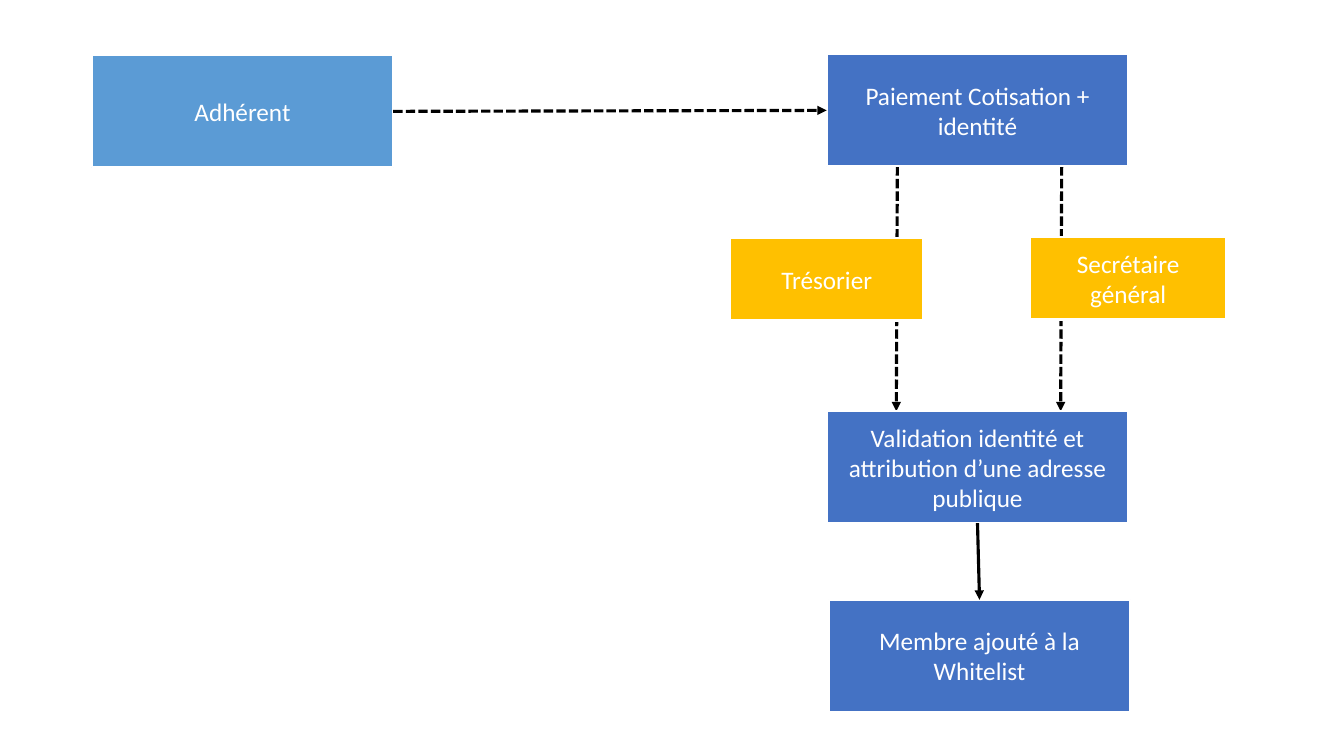
from dataclasses import dataclass

from lxml import etree
from pptx import Presentation
from pptx.dml.color import RGBColor
from pptx.enum.dml import MSO_LINE
from pptx.enum.shapes import MSO_CONNECTOR, MSO_SHAPE
from pptx.enum.text import MSO_ANCHOR, PP_ALIGN
from pptx.oxml.ns import qn
from pptx.util import Inches, Pt

RECTANGLE = MSO_SHAPE.RECTANGLE
STRAIGHT = MSO_CONNECTOR.STRAIGHT
DASHED = MSO_LINE.SQUARE_DOT
MIDDLE = MSO_ANCHOR.MIDDLE
CENTER = PP_ALIGN.CENTER
TOP, LEFT, BOTTOM, RIGHT = range(4)


@dataclass(frozen=True)
class Theme:
    member: RGBColor = RGBColor(0x5B, 0x9B, 0xD5)
    step: RGBColor = RGBColor(0x44, 0x72, 0xC4)
    officer: RGBColor = RGBColor(0xFF, 0xC0, 0x00)
    light: RGBColor = RGBColor(0xFF, 0xFF, 0xFF)
    arrow: RGBColor = RGBColor(0x00, 0x00, 0x00)
    font: str = "Calibri"
    text_size: Pt = Pt(18)
    border_width: Pt = Pt(1.5)
    arrow_width: Pt = Pt(2.25)


THEME = Theme()
STEP_SIZE = (2.99, 1.11)
STEP_LEFT = 8.2
VALIDATION_TOP = 4.08


def add_box(slide, text, position, size, color):
    shape = slide.shapes.add_shape(RECTANGLE, *map(Inches, position + size))
    shape.shadow.inherit = False
    shape.fill.solid()
    shape.fill.fore_color.rgb = color
    shape.line.color.rgb = THEME.light
    shape.line.width = THEME.border_width

    text_frame = shape.text_frame
    text_frame.word_wrap = True
    text_frame.vertical_anchor = MIDDLE
    text_frame.text = text
    paragraph = text_frame.paragraphs[0]
    paragraph.alignment = CENTER
    font = paragraph.runs[0].font
    font.name = THEME.font
    font.size = THEME.text_size
    font.color.rgb = THEME.light
    return shape


def add_arrow(slide, start=(0, 0), end=(0, 0), dashed=True):
    connector = slide.shapes.add_connector(STRAIGHT, *map(Inches, start + end))
    line = connector.line
    line.color.rgb = THEME.arrow
    line.width = THEME.arrow_width
    if dashed:
        line.dash_style = DASHED
    properties = connector._element.spPr
    etree.SubElement(properties.find(qn("a:ln")), qn("a:tailEnd"), type="triangle")
    etree.SubElement(properties, qn("a:effectLst"))
    return connector


def join_boxes(slide, source, source_side, target, target_side, dashed=True):
    connector = add_arrow(slide, dashed=dashed)
    connector.begin_connect(source, source_side)
    connector.end_connect(target, target_side)


def main():
    presentation = Presentation()
    presentation.slide_width = Inches(13.33)
    presentation.slide_height = Inches(7.5)
    slide = presentation.slides.add_slide(presentation.slide_layouts[6])

    # The officer boxes cover the middle of these two arrows.
    for x in (10.53, 8.9):
        add_arrow(slide, (x, 1.65), (x - 0.01, VALIDATION_TOP))

    member = add_box(slide, "Adhérent", (0.91, 0.55), STEP_SIZE, THEME.member)
    payment = add_box(slide, "Paiement Cotisation + identité",
                      (STEP_LEFT, 0.54), STEP_SIZE, THEME.step)
    add_box(slide, "Trésorier", (7.24, 2.36), (1.92, 0.82), THEME.officer)
    add_box(slide, "Secrétaire général", (10.22, 2.35), (1.94, 0.82), THEME.officer)
    validation = add_box(slide, "Validation identité et attribution d’une adresse publique",
                         (STEP_LEFT, VALIDATION_TOP), STEP_SIZE, THEME.step)
    whitelist = add_box(slide, "Membre ajouté à la Whitelist",
                        (8.22, 5.95), STEP_SIZE, THEME.step)

    join_boxes(slide, member, RIGHT, payment, LEFT)
    join_boxes(slide, validation, BOTTOM, whitelist, TOP, dashed=False)

    presentation.save("out.pptx")


if __name__ == "__main__":
    main()
